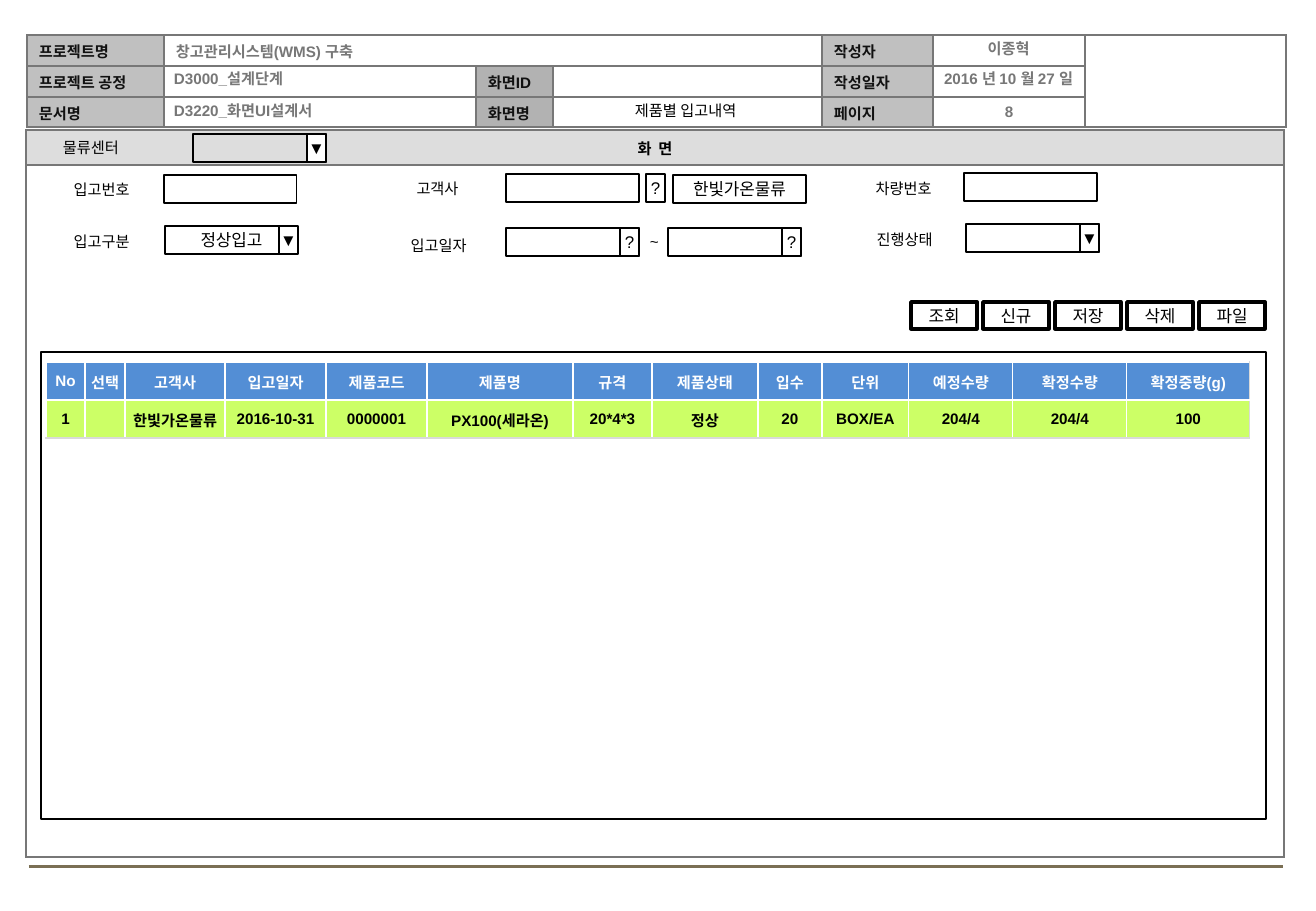
from itertools import accumulate
from lxml.etree import SubElement
from pptx import Presentation
from pptx.dml.color import RGBColor
from pptx.enum.shapes import MSO_CONNECTOR, MSO_SHAPE
from pptx.enum.text import MSO_ANCHOR as Anchor, PP_ALIGN as Align
from pptx.oxml.ns import qn
from pptx.util import Emu, Pt

SCALE = 914400 / 121.5
BLACK = RGBColor(0, 0, 0)
WHITE = RGBColor(255, 255, 255)
INK = RGBColor(0x11, 0x11, 0x11)
GREY = RGBColor(0x77, 0x77, 0x77)
SILVER = RGBColor(0xC0, 0xC0, 0xC0)
STEEL = RGBColor(0xB2, 0xB2, 0xB2)
BAND = RGBColor(0xDD, 0xDD, 0xDD)
RULE = RGBColor(0x7A, 0x6F, 0x54)
BLUE = RGBColor(0x53, 0x8E, 0xD5)
LIME = RGBColor(0xCC, 0xFF, 0x66)
MIST = RGBColor(0xD9, 0xD9, 0xD9)
FIELD_W, FIELD_H, ARROW_W = 133, 28, 19


def px(length):
    """Turn pixels into EMU."""
    return Emu(round(length * SCALE))


def assign(target, values):
    """Set attributes of an object from a dict."""
    for name, value in values.items():
        setattr(target, name, value)


def write(frame, text, size=9, color=BLACK, bold=False, align=Align.CENTER, before=0):
    """Write one formatted paragraph into a text frame."""
    para = frame.paragraphs[0]
    assign(para, {"alignment": align, "space_before": Pt(before)})
    if not text:
        para._p.get_or_add_endParaRPr().set("sz", str(size * 100))
        return
    span = para.add_run()
    span.text = text
    assign(span.font, {"name": "Arial", "size": Pt(size), "bold": bold})
    span.font.color.rgb = color


def add_label(page, left, top, width, text, **style):
    """Add a one-line text box."""
    box = page.shapes.add_textbox(*map(px, (left, top, width, 30)))
    box.text_frame.word_wrap = True
    write(box.text_frame, text, **style)


def add_box(page, left, top, width, height, text="", fill=WHITE, line=0.75):
    """Add an outlined rectangle with centred text."""
    box = page.shapes.add_shape(MSO_SHAPE.RECTANGLE, *map(px, (left, top, width, height)))
    box.shadow.inherit = False
    if fill is None:
        box.fill.background()
    else:
        box.fill.solid()
        box.fill.fore_color.rgb = fill
    box.line.color.rgb = BLACK
    box.line.width = Pt(line)
    assign(box.text_frame, {"word_wrap": False, "vertical_anchor": Anchor.MIDDLE,
                            "margin_left": px(2), "margin_right": px(2),
                            "margin_top": px(5), "margin_bottom": px(5)})
    if text:
        write(box.text_frame, text, size=10)


def add_field(page, left, top, text="", mark="", fill=WHITE):
    """Add an input field, with a marked button at its right end if asked."""
    add_box(page, left, top, FIELD_W, FIELD_H, text, fill)
    if mark:
        add_box(page, left + FIELD_W - ARROW_W, top, ARROW_W, FIELD_H, mark)


def add_grid(page, left, top, columns, rows):
    """Add a plain table with the given column widths and row heights."""
    size = (left, top, sum(columns), sum(rows))
    table = page.shapes.add_table(len(rows), len(columns), *map(px, size)).table
    assign(table, {"first_row": False, "horz_banding": False})
    for column, width in zip(table.columns, columns):
        column.width = px(width)
    for row, height in zip(table.rows, rows):
        row.height = px(height)
    return table


def dress(cell, text="", fill=None, border=GREY, edges="LRTB", margin=12, **style):
    """Give a cell its borders, fill, margins and text."""
    props = cell._tc.get_or_add_tcPr()
    for edge in edges:
        line = SubElement(props, qn(f"a:ln{edge}"), w=str(Pt(1)))
        solid = SubElement(line, qn("a:solidFill"))
        SubElement(solid, qn("a:srgbClr"), val=str(border))
    if fill is None:
        cell.fill.background()
    else:
        cell.fill.solid()
        cell.fill.fore_color.rgb = fill
    assign(cell, {"vertical_anchor": Anchor.MIDDLE, "margin_left": px(margin),
                  "margin_right": px(margin), "margin_top": px(1), "margin_bottom": 0})
    write(cell.text_frame, text, **style)


def draw_header(page, left, top):
    """Draw the document block and place the screen name as title."""
    columns, rows = [137, 312, 77, 269, 111, 152, 201], [31, 31, 30]
    table = add_grid(page, left, top, columns, rows)
    table.cell(0, 1).merge(table.cell(0, 3))
    table.cell(0, 6).merge(table.cell(2, 6))
    heads = {0: ("프로젝트명", "프로젝트 공정", "문서명"), 2: ("", "화면ID", "화면명"),
             4: ("작성자", "작성일자", "페이지")}
    fills = {0: SILVER, 2: STEEL, 4: SILVER}
    for row in range(3):
        for column in range(7):
            text = heads.get(column, [""] * 3)[row]
            style = {"fill": fills[column] if text else None, "color": INK}
            if (row, column) == (0, 1):
                text, style["color"] = "창고관리시스템(WMS) 구축", GREY
            dress(table.cell(row, column), text, bold=True, align=Align.LEFT,
                  before=2, **style)
    lefts = [left + offset for offset in accumulate(columns, initial=0)]
    for offset, text in ((28, "D3000_설계단계"), (60, "D3220_화면UI설계서")):
        add_label(page, lefts[1] - 2, top + offset, 658, text, color=GREY, bold=True,
                  align=Align.LEFT, before=4.5)
    for offset, text in ((-2, "이종혁"), (28, "2016 년 10 월 27 일")):
        add_label(page, lefts[5] - 20, top + offset, 191, text, color=GREY, bold=True,
                  before=4.5)
    add_label(page, lefts[5], top + 61, columns[5], "8", color=GREY, bold=True)
    title = page.shapes.title
    assign(title, {"left": px(lefts[3]), "top": px(top + 60),
                   "width": px(columns[3] - 4), "height": px(30)})
    title.text_frame.vertical_anchor = Anchor.TOP
    write(title.text_frame, "제품별 입고내역")


def draw_screen(page, left, top, width, height):
    """Draw the screen panel with its heading band and centre selector."""
    table = add_grid(page, left, top, [width], [35, height - 35])
    dress(table.cell(0, 0), "화  면", BAND, bold=True, before=2)
    dress(table.cell(1, 0))
    add_label(page, left + 25, top + 2, 142, "물류센터", align=Align.LEFT)
    add_field(page, left + 167, top + 4, mark="▼", fill=None)


def draw_search(page, left, top):
    """Draw the search conditions."""
    for x, y, text in ((18, 9, "입고번호"), (18, 61, "입고구분"), (354, 8, "고객사"),
                       (355, 65, "입고일자"), (820, 8, "차량번호"), (821, 59, "진행상태")):
        add_label(page, left + x, top + y, 115, text)
    for x, y, text, mark in ((138, 10, "", ""), (139, 61, "정상입고", "▼"),
                             (480, 9, "", ""), (647, 10, "한빛가온물류", ""),
                             (480, 63, "", "?"), (642, 63, "", "?"),
                             (938, 8, "", ""), (940, 59, "", "▼")):
        add_field(page, left + x, top + y, text, mark)
    add_box(page, left + 620, top + 9, ARROW_W, FIELD_H, "?")
    add_label(page, left + 612, top + 61, 32, "~", align=Align.LEFT)


def draw_buttons(page, left, top):
    """Draw the row of command buttons."""
    for index, text in enumerate(("조회", "신규", "저장", "삭제", "파일")):
        add_box(page, left + 72 * index, top, 66, 27, text, line=2)


def draw_results(page, left, top, width, height):
    """Draw the result frame with its list of receipts."""
    add_box(page, left, top, width, height, fill=None)
    columns = [39, 40, 100, 101, 101, 146, 79, 106, 64, 87, 104, 114, 123]
    lines = (("No", "선택", "고객사", "입고일자", "제품코드", "제품명", "규격", "제품상태",
              "입수", "단위", "예정수량", "확정수량", "확정중량(g)"),
             ("1", "", "한빛가온물류", "2016-10-31", "0000001", "PX100(세라온)", "20*4*3",
              "정상", "20", "BOX/EA", "204/4", "204/4", "100"))
    table = add_grid(page, left + 5, top + 10, columns, [38, 38])
    for row, (texts, fill, color) in enumerate(zip(lines, (BLUE, LIME), (WHITE, BLACK))):
        for column, text in enumerate(texts):
            dress(table.cell(row, column), text, fill, MIST, "RB", 1,
                  color=color, bold=True)


def draw_rule(page, left, top, width):
    """Draw the closing line at the foot of the page."""
    rule = page.shapes.add_connector(MSO_CONNECTOR.STRAIGHT,
                                     *map(px, (left, top, left + width, top)))
    rule.line.color.rgb = RULE
    rule.line.width = Pt(1.75)
    SubElement(rule._element.spPr, qn("a:effectLst"))


deck = Presentation()
assign(deck, {"slide_width": px(1316), "slide_height": px(911)})
page = deck.slides.add_slide(deck.slide_layouts[5])
draw_rule(page, 29, 867, 1254)
draw_header(page, 27, 35)
draw_screen(page, 26, 130, 1258, 727)
draw_search(page, 26, 165)
draw_buttons(page, 911, 302)
draw_results(page, 41, 352, 1225, 467)
deck.save("out.pptx")
